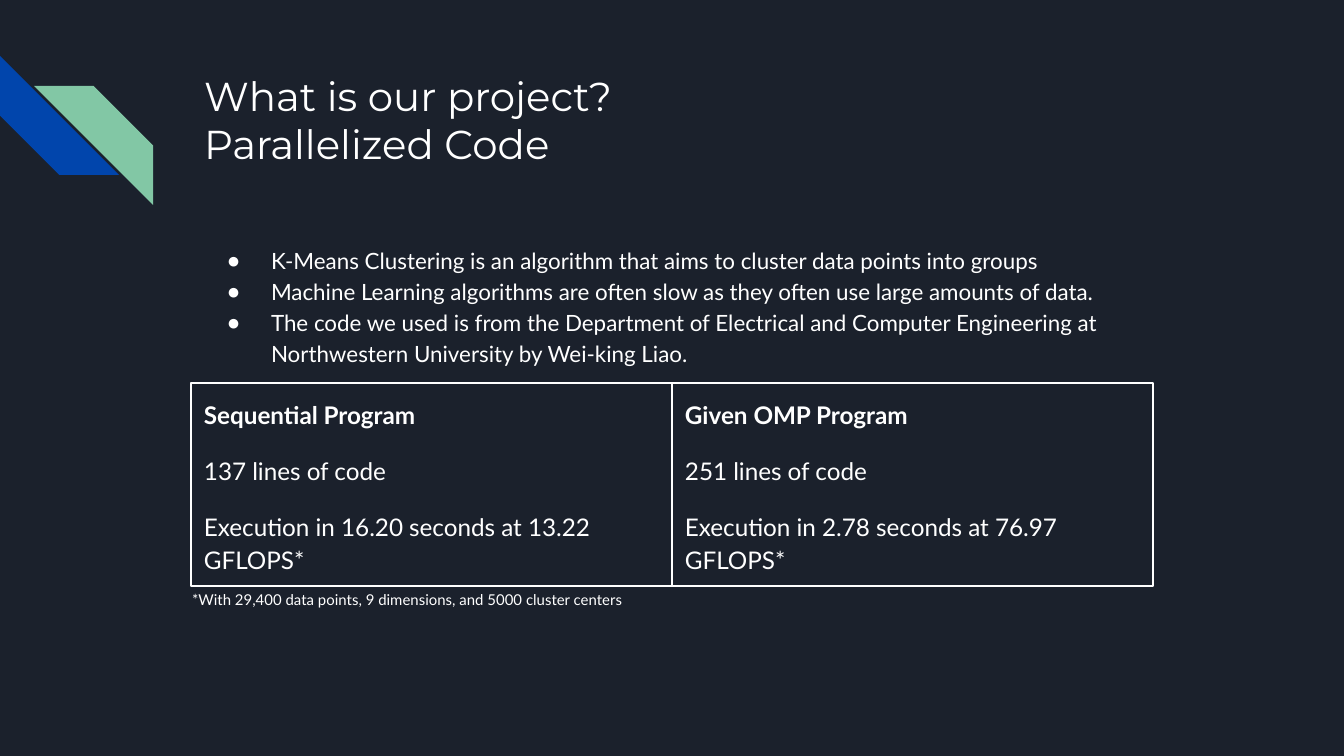
from pptx import Presentation
from pptx.dml.color import RGBColor
from pptx.enum.shapes import MSO_SHAPE
from pptx.enum.text import MSO_ANCHOR, MSO_AUTO_SIZE, PP_ALIGN
from pptx.oxml import parse_xml
from pptx.oxml.ns import nsdecls
from pptx.util import Pt

# Content
TITLE = "What is our project?\vParallelized Code"
POINTS = [
    "K-Means Clustering is an algorithm that aims to cluster data points into groups",
    "Machine Learning algorithms are often slow as they often use large amounts of data.",
    "The code we used is from the Department of Electrical and Computer Engineering at "
    "Northwestern University by Wei-king Liao.",
]
PROGRAMS = [
    ("Sequential Program", "137 lines of code",
     "Execution in 16.20 seconds at 13.22 GFLOPS*"),
    ("Given OMP Program", "251 lines of code",
     "Execution in 2.78 seconds at 76.97 GFLOPS*"),
]
FOOTNOTE = "*With 29,400 data points, 9 dimensions, and 5000 cluster centers"

# Look
COLORS = {"back": "1B212C", "text": "FFFFFF", "blue": "0145AC", "green": "82C7A5"}
HEAD_FONT, BODY_FONT = "Montserrat", "Lato"

# Layout in px
SCALE = 914400 / 134.4
SLIDE = (1344, 756)
TITLE_BOX = (191, 58, 1035, 134)
POINTS_BOX = (191, 230, 962, 153)
FOOTNOTE_BOX = (179, 575, 962, 153)
CARD_LEFT, CARD_TOP, CARD_W, CARD_H = 191, 383, 481, 203
INSET, BULLET_LEFT, BULLET_HANG = 13, 67, 44
STRIPE = 119
STRIPES = [(0, 56, "blue", 270), (34, 86, "green", 90)]  # left, top, colour, rotation


def px(n):
    return round(n * SCALE)


def rgb(name):
    return RGBColor.from_string(COLORS[name])


def place(sp, box):
    sp.left, sp.top, sp.width, sp.height = map(px, box)


def set_bullet(p, bullet):
    pPr = p._p.get_or_add_pPr()
    pPr.set("marL", str(px(BULLET_LEFT) if bullet else 0))
    pPr.set("indent", str(px(-BULLET_HANG) if bullet else 0))
    if bullet:
        pPr.append(parse_xml(f'<a:buClr {nsdecls("a")}><a:srgbClr val="{COLORS["text"]}"/></a:buClr>'))
        pPr.append(parse_xml(f'<a:buChar {nsdecls("a")} char="●"/>'))
    else:
        pPr.append(parse_xml(f'<a:buNone {nsdecls("a")}/>'))


def write(sp, lines, size, font=BODY_FONT, spacing=1.15, gap=0, bullet=False,
          bold_first=False, fit=MSO_AUTO_SIZE.NONE):
    tf = sp.text_frame
    tf.word_wrap = True
    tf.auto_size = fit
    tf.vertical_anchor = MSO_ANCHOR.TOP
    tf.margin_left = tf.margin_right = tf.margin_top = tf.margin_bottom = px(INSET)
    for i, line in enumerate(lines):
        p = tf.add_paragraph() if i else tf.paragraphs[0]
        p.text = line
        p.alignment = PP_ALIGN.LEFT
        p.line_spacing = spacing
        p.space_before = Pt(gap if i else 0)
        p.space_after = Pt(0)
        set_bullet(p, bullet)
        for r in p.runs:
            r.font.name = font
            r.font.size = Pt(size)
            r.font.bold = bold_first and i == 0
            r.font.color.rgb = rgb("text")


prs = Presentation()
prs.slide_width, prs.slide_height = map(px, SLIDE)
s = prs.slides.add_slide(prs.slide_layouts.get_by_name("Two Content"))
s.background.fill.solid()
s.background.fill.fore_color.rgb = rgb("back")
title, points, footnote = s.placeholders

# Corner stripes
for left, top, color, rotation in STRIPES:
    sp = s.shapes.add_shape(MSO_SHAPE.DIAGONAL_STRIPE, *map(px, (left, top, STRIPE, STRIPE)))
    sp.adjustments[0] = 0.5
    sp.rotation = rotation
    sp.shadow.inherit = False
    sp.fill.solid()
    sp.fill.fore_color.rgb = rgb(color)
    sp.line.fill.background()

# Title, bullet points and footnote
place(title, TITLE_BOX)
write(title, [TITLE], 21.6, font=HEAD_FONT, spacing=1.0)
place(points, POINTS_BOX)
write(points, POINTS, 12, bullet=True)
place(footnote, FOOTNOTE_BOX)
write(footnote, [FOOTNOTE], 8)

# Program cards side by side
for i, lines in enumerate(PROGRAMS):
    box = (CARD_LEFT + i * CARD_W, CARD_TOP, CARD_W, CARD_H)
    sp = s.shapes.add_shape(MSO_SHAPE.RECTANGLE, *map(px, box))
    sp.shadow.inherit = False
    sp.fill.background()
    sp.line.color.rgb = rgb("text")
    sp.line.width = Pt(0.75)
    write(sp, lines, 13, gap=12, bold_first=True, fit=MSO_AUTO_SIZE.SHAPE_TO_FIT_TEXT)

prs.save("out.pptx")
